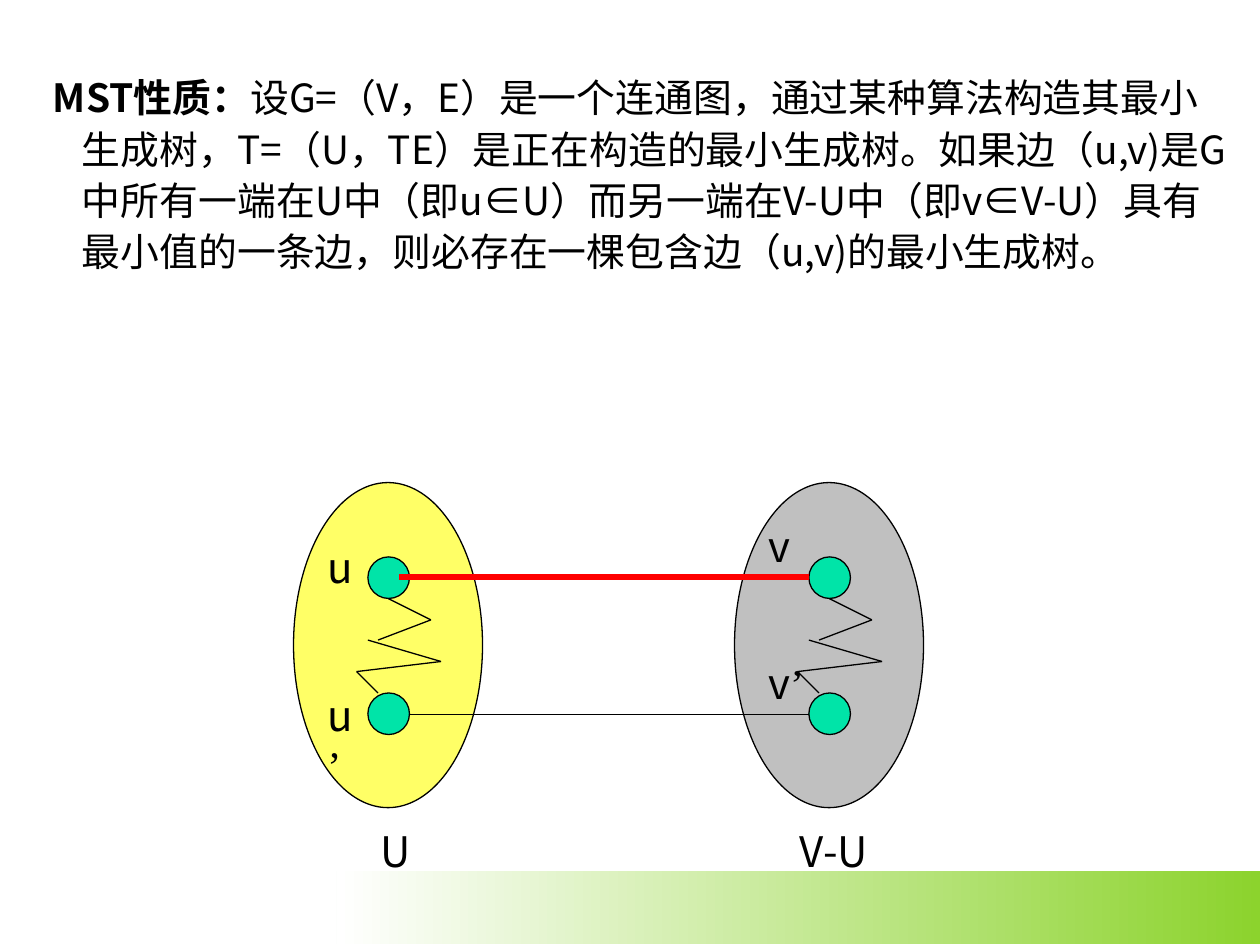
from lxml.etree import SubElement
from pptx import Presentation
from pptx.dml.color import RGBColor
from pptx.enum.shapes import MSO_CONNECTOR, MSO_SHAPE
from pptx.enum.text import MSO_ANCHOR, MSO_AUTO_SIZE
from pptx.oxml.ns import qn
from pptx.util import Inches, Pt

BLACK = RGBColor(0x00, 0x00, 0x00)
WHITE = RGBColor(0xFF, 0xFF, 0xFF)
RED = RGBColor(0xFF, 0x00, 0x00)
YELLOW = RGBColor(0xFF, 0xFF, 0x66)
GREY = RGBColor(0xC0, 0xC0, 0xC0)
TEAL = RGBColor(0x00, 0xE4, 0xA8)
GREEN = RGBColor(0x8C, 0xD3, 0x2D)
SANS, SERIF = "Noto Sans CJK SC", "Times New Roman"

PROPERTY = [
    ("MST性质：", True),
    ("设G=（V，E）是一个连通图，通过某种算法构造其最小生成树，"
     "T=（U，TE）是正在构造的最小生成树。如果边（u,v)是G中所有一端在U中"
     "（即u∈U）而另一端在V-U中（即v∈V-U）具有最小值的一条边，"
     "则必存在一棵包含边（u,v)的最小生成树。", False),
]
VERTEX_SETS = [
    {"left": 2.33, "fill": YELLOW, "labels": [
        ("u", "", 2.5, 4.25, 0.5, 0.5), ("u", "’", 2.5, 5.42, 0.5, 0.9),
        ("U", "", 2.92, 6.5, 1, 0.5)]},
    {"left": 5.83, "fill": GREY, "labels": [
        ("v", "", 6, 4.08, 0.5, 0.5), ("v", "’", 6, 5.17, 0.5, 0.9),
        ("V-U", "", 6.25, 6.5, 1, 0.5)]},
]
SET_TOP, SET_WIDTH, SET_HEIGHT = 3.83, 1.5, 2.58
NODE_OFFSET, NODE_SIZE, NODE_TOPS = 0.59, 0.33, (4.42, 5.5)
ZIGZAGS = [
    [(0.75, 4.75), (1.09, 4.92), (0.67, 5.08)],
    [(0.59, 5.08), (1.17, 5.25), (0.5, 5.33), (0.67, 5.5)],
]
EDGES = [((3.17, 4.58), (6.42, 4.58), RED, 3),
         ((3.25, 5.67), (6.42, 5.67), BLACK, 0.75)]


def add_outlined(page, kind, place, color):
    shape = page.shapes.add_shape(kind, *map(Inches, place))
    shape.shadow.inherit = False
    shape.fill.solid()
    shape.fill.fore_color.rgb = color
    shape.line.color.rgb = BLACK
    shape.line.width = Pt(0.75)


def add_line(page, start, end, color=BLACK, width=0.75):
    line = page.shapes.add_connector(
        MSO_CONNECTOR.STRAIGHT, *map(Inches, (*start, *end)))
    SubElement(line._element.spPr, qn("a:effectLst"))
    line.line.color.rgb = color
    line.line.width = Pt(width)


def add_span(para, text, size, name=SANS, bold=False):
    span = para.add_run()
    span.text = text
    formats = {"size": Pt(size), "name": name, "bold": bold}
    for key, value in formats.items():
        setattr(span.font, key, value)
    span.font.color.rgb = BLACK
    SubElement(span.font._element, qn("a:ea"), typeface=name)


def add_band(page):
    band = page.shapes.add_shape(
        MSO_SHAPE.RECTANGLE, *map(Inches, (2.67, 6.91, 7.33, 0.58)))
    band.shadow.inherit = False
    band.line.fill.background()
    band.fill.gradient()
    band.fill.gradient_angle = 180
    for stop, color in zip(band.fill.gradient_stops, (GREEN, WHITE)):
        stop.color.rgb = color


def fill_property(page):
    title, body = page.placeholders
    title._element.getparent().remove(title._element)
    place = {"left": 0.17, "top": 0.5, "width": 9.67, "height": 2.17}
    for key, value in place.items():
        setattr(body, key, Inches(value))
    frame = body.text_frame
    frame.auto_size = MSO_AUTO_SIZE.NONE
    frame.vertical_anchor = MSO_ANCHOR.TOP
    para = frame.paragraphs[0]
    para.line_spacing = 1.1
    para.space_before = Pt(0)
    settings = para._p.get_or_add_pPr()
    settings.set("marL", str(Inches(0.38)))
    settings.set("indent", str(Inches(-0.23)))
    SubElement(settings, qn("a:buNone"))
    for text, bold in PROPERTY:
        add_span(para, text, 22.2, bold=bold)


def add_label(page, letter, prime, *place):
    box = page.shapes.add_textbox(*map(Inches, place))
    box.text_frame.word_wrap = True
    para = box.text_frame.paragraphs[0]
    add_span(para, letter, 24)
    if prime:
        add_span(para, prime, 24, SERIF)


def add_vertex_set(page, left, fill):
    add_outlined(page, MSO_SHAPE.OVAL,
                 (left, SET_TOP, SET_WIDTH, SET_HEIGHT), fill)
    for top in NODE_TOPS:
        add_outlined(page, MSO_SHAPE.FLOWCHART_CONNECTOR,
                     (left + NODE_OFFSET, top, NODE_SIZE, NODE_SIZE), TEAL)
    for zigzag in ZIGZAGS:
        points = [(left + x, y) for x, y in zigzag]
        for start, end in zip(points, points[1:]):
            add_line(page, start, end)


def main():
    deck = Presentation()
    deck.slide_width, deck.slide_height = Inches(10), Inches(7.5)
    page = deck.slides.add_slide(deck.slide_layouts[1])
    fill_property(page)
    add_band(page)
    for group in VERTEX_SETS:
        add_vertex_set(page, group["left"], group["fill"])
    for edge in EDGES:
        add_line(page, *edge)
    for group in VERTEX_SETS:
        for label in group["labels"]:
            add_label(page, *label)
    deck.save("out.pptx")


if __name__ == "__main__":
    main()
